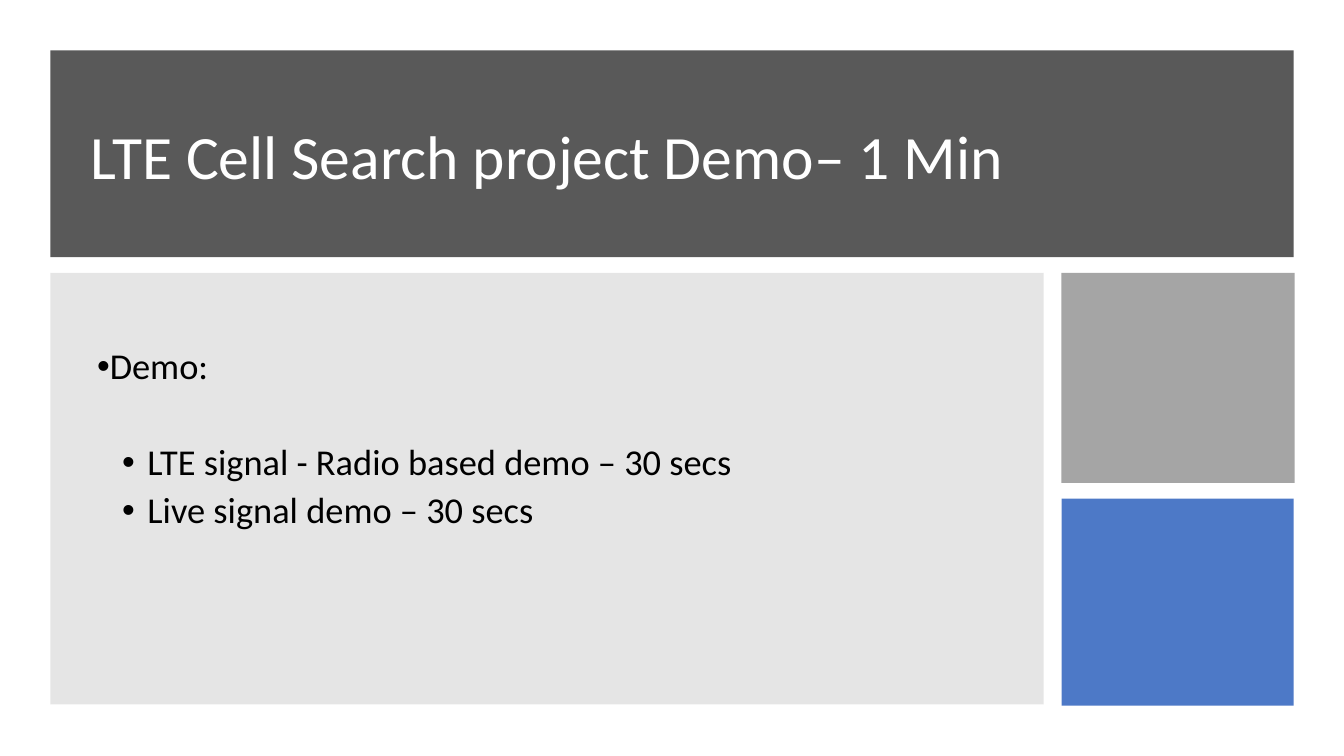
"""Build the LTE cell search demo slide."""
from lxml import etree
from pptx import Presentation
from pptx.dml.color import RGBColor
from pptx.enum.shapes import MSO_SHAPE
from pptx.enum.text import MSO_ANCHOR
from pptx.oxml.ns import qn
from pptx.util import Pt

PX = 9525
RECT = MSO_SHAPE.RECTANGLE
MIDDLE, TOP = MSO_ANCHOR.MIDDLE, MSO_ANCHOR.TOP
FONT = "Calibri"
WHITE = RGBColor(0xFF, 0xFF, 0xFF)
BLACK = RGBColor(0, 0, 0)
DARK = RGBColor(0x59, 0x59, 0x59)
GRAY = RGBColor(0x80, 0x80, 0x80)
SILVER = RGBColor(0xA5, 0xA5, 0xA5)
BLUE = RGBColor(0x44, 0x72, 0xC4)


def scale(*box):
    return [n * PX for n in box]


def add_block(slide, box, color, alpha=100):
    block = slide.shapes.add_shape(RECT, *scale(*box))
    block.shadow.inherit = False
    block.fill.solid()
    block.fill.fore_color.rgb = color
    block.line.fill.background()
    if alpha < 100:
        tone = block.element.spPr.find(qn("a:solidFill")).find(qn("a:srgbClr"))
        etree.SubElement(tone, qn("a:alpha"), val=str(alpha * 1000))


def add_frame(slide, box, anchor):
    frame = slide.shapes.add_textbox(*scale(*box)).text_frame
    frame.word_wrap = True
    frame.vertical_anchor = anchor
    return frame


def put_text(para, text, size=26, color=BLACK, after=0):
    para.line_spacing = 0.9
    para.space_after = Pt(after)
    run = para.add_run()
    run.text = text
    run.font.name = FONT
    run.font.size = Pt(size)
    run.font.color.rgb = color


def add_bullet(para, left):
    props = para._p.get_or_add_pPr()
    props.set("marL", str(left * PX))
    props.set("indent", str(-24 * PX))
    tone = etree.SubElement(props, qn("a:buClr"))
    etree.SubElement(tone, qn("a:srgbClr"), val=str(BLACK))
    etree.SubElement(props, qn("a:buFont"), typeface="Arial")
    etree.SubElement(props, qn("a:buChar"), char="•")


def main():
    deck = Presentation()
    deck.slide_width, deck.slide_height = scale(1280, 720)
    slide = deck.slides.add_slide(deck.slide_layouts[6])

    add_block(slide, (48, 48, 1184, 197), DARK)
    title = add_frame(slide, (77, 77, 1119, 150), MIDDLE)
    put_text(title.paragraphs[0], "LTE Cell Search project Demo– 1 Min",
             size=44, color=WHITE)

    add_block(slide, (48, 260, 946, 411), GRAY, alpha=20)
    body = add_frame(slide, (83, 327, 878, 313), TOP)
    lines = [
        ("Demo:", 0, 40.5),
        ("LTE signal - Radio based demo – 30 secs", 48, 6),
        ("Live signal demo – 30 secs", 48, 6),
    ]
    for row, (text, left, after) in enumerate(lines):
        para = body.add_paragraph() if row else body.paragraphs[0]
        put_text(para, text, after=after)
        add_bullet(para, left)

    add_block(slide, (1011, 260, 222, 200), SILVER)
    add_block(slide, (1011, 475, 221, 197), BLUE, alpha=95)
    deck.save("out.pptx")


if __name__ == "__main__":
    main()
